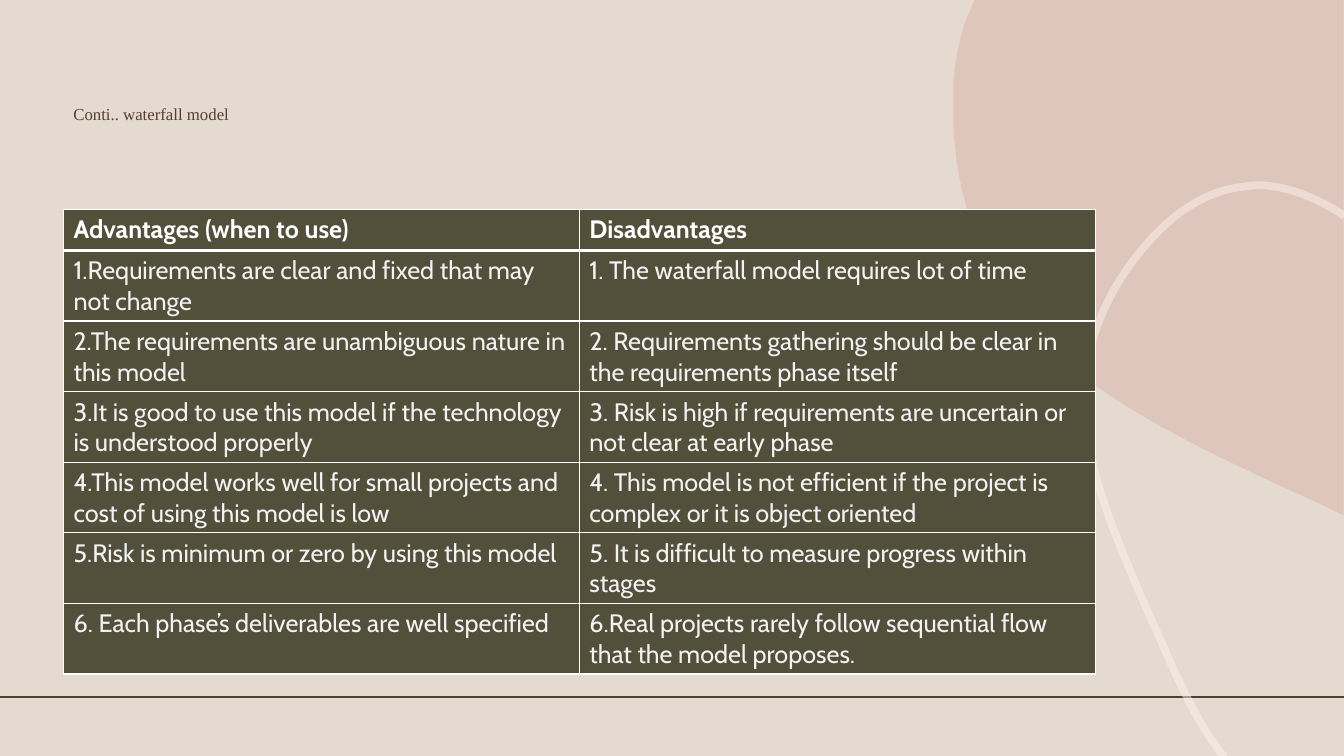
from lxml import etree
from pptx import Presentation
from pptx import util as u
from pptx.dml.color import RGBColor
from pptx.enum import shapes, text
from pptx.oxml.ns import qn

# Content
HEADING = "Conti.. waterfall model"
ROWS = [
    ("Advantages (when to use)", "Disadvantages"),
    ("1.Requirements are clear and fixed that may not change",
     "1. The waterfall model requires lot of time"),
    ("2.The requirements are unambiguous nature in this model",
     "2. Requirements gathering should be clear in the requirements phase itself"),
    ("3.It is good to use this model if the technology is understood properly",
     "3. Risk is high if requirements are uncertain or not clear at early phase"),
    ("4.This model works well for small projects and cost of using this model is low",
     "4. This model is not efficient if the project is complex or it is object oriented"),
    ("5.Risk is minimum or zero by using this model",
     "5. It is difficult to measure progress within stages"),
    ("6. Each phase’s deliverables are well specified",
     "6.Real projects rarely follow sequential flow that the model proposes."),
]

# Outlines in cm: a single pair is a straight step, three pairs are a Bézier curve
BLOB_BOX = (24.03, 0, 33.86, 12.98)
BLOB = [
    [(24.56, 0)], [(33.86, 0)], [(33.86, 12.98)], [(33.2, 12.67)],
    [(28.85, 10.69), (26.21, 9.37), (24.84, 6.48)],
    [(24.08, 4.9), (24, 3.43), (24.03, 2.57)],
    [(24, 2.01), (24.08, 1.24), (24.36, 0.46)],
]
LOOP_BOX = (27.36, 4.67, 33.9, 19.08)
LOOP = [
    [(30.86, 19.08)],
    [(30.43, 18.57), (29.95, 17.75), (29.36, 16.38)],
    [(27.79, 12.88), (26.87, 10.77), (27.58, 8.43)],
    [(27.97, 7.24), (28.63, 6.43), (29.06, 5.97)],
    [(29.49, 5.51), (30.28, 4.8), (31.39, 4.7)],
    [(31.52, 4.67), (31.67, 4.67), (31.8, 4.67)],
    [(32.49, 4.7), (33.22, 5), (33.88, 5.44)],
]

THEME = {
    "page": "E5DACF", "brown": "543E34", "blob": "CF9B92", "loop": "FEF3ED",
    "cell": "52503A", "white": "FFFFFF", "body": "F2F2F2",
    "heading_font": "Times New Roman", "table_font": "Cabin",
    "heading_size": 12, "table_size": 18,
}
WIDTH, HEIGHT, LEFT = 33.87, 19.05, 1.6
COLUMN, ROW, TABLE_HEIGHT = 13, 1.03, 11.71
UNITS = 100  # outline units per cm


def color(name):
    return RGBColor.from_string(THEME[name])


def add_run(paragraph, words, font, size, tint, bold=False):
    run = paragraph.add_run()
    run.text = words
    run.font.name, run.font.size = THEME[font], u.Pt(THEME[size])
    run.font.color.rgb, run.font.bold = color(tint), bold


def add_outline(outline, box, close):
    left, top, right, bottom = (side * UNITS for side in box)
    builder = slide.shapes.build_freeform(left, top, scale=u.Cm(1) / UNITS)
    builder.add_line_segments([(right, top), (right, bottom), (left, bottom)], close=close)
    shape = builder.convert_to_shape()
    shape.shadow.inherit = False

    # Draw the curves inside the box
    trace = next(shape._element.spPr.iter(qn("a:path")))
    for step in list(trace):
        trace.remove(step)
    for i, points in enumerate(outline):
        kind = "moveTo" if i == 0 else "lnTo" if len(points) == 1 else "cubicBezTo"
        step = etree.SubElement(trace, qn("a:" + kind))
        for x, y in points:
            etree.SubElement(step, qn("a:pt"), x=str(round(x * UNITS - left)),
                             y=str(round(y * UNITS - top)))
    if close:
        etree.SubElement(trace, qn("a:close"))
    return shape


def set_opacity(shape, percent):
    tint = next(shape._element.spPr.iter(qn("a:srgbClr")))
    etree.SubElement(tint, qn("a:alpha"), val=str(percent * 1000))


def add_borders(cell, bottom, top):
    properties = cell._tc.get_or_add_tcPr()
    for side, points in (("L", 1), ("R", 1), ("T", top), ("B", bottom)):
        edge = etree.SubElement(properties, qn("a:ln" + side), w=str(u.Pt(points)))
        fill = etree.SubElement(edge, qn("a:solidFill"))
        etree.SubElement(fill, qn("a:srgbClr"), val=THEME["white"])


# Page
deck = Presentation()
deck.slide_width, deck.slide_height = u.Cm(WIDTH), u.Cm(HEIGHT)
slide = deck.slides.add_slide(deck.slide_layouts[6])
slide.background.fill.solid()
slide.background.fill.fore_color.rgb = color("page")

# Backdrop: rule, blob and loop
rule = slide.shapes.add_connector(shapes.MSO_CONNECTOR.STRAIGHT,
                                  0, u.Cm(17.57), u.Cm(WIDTH), u.Cm(17.57))
rule.line.color.rgb, rule.line.width = color("brown"), u.Pt(1.25)
etree.SubElement(rule._element.spPr, qn("a:effectLst"))

blob = add_outline(BLOB, BLOB_BOX, close=True)
blob.fill.solid()
blob.fill.fore_color.rgb = color("blob")
blob.line.fill.background()
set_opacity(blob, 30)

loop = add_outline(LOOP, LOOP_BOX, close=False)
loop.fill.background()
loop.line.color.rgb, loop.line.width = color("loop"), u.Pt(5.5)
set_opacity(loop, 50)

# Heading
heading = slide.shapes.add_textbox(u.Cm(LEFT), u.Cm(1.96), u.Cm(29.21), u.Cm(1.88)).text_frame
heading.word_wrap = True
heading.vertical_anchor = text.MSO_ANCHOR.MIDDLE
heading.paragraphs[0].line_spacing = 0.9
add_run(heading.paragraphs[0], HEADING, "heading_font", "heading_size", "brown")

# Comparison table: rows grow to fit their text
frame = slide.shapes.add_table(len(ROWS), 2, u.Cm(LEFT), u.Cm(5.28),
                               u.Cm(2 * COLUMN), u.Cm(TABLE_HEIGHT))
comparison = frame.table
comparison.horz_banding = False
for column in comparison.columns:
    column.width = u.Cm(COLUMN)
for r, entries in enumerate(ROWS):
    is_header = r == 0
    comparison.rows[r].height = u.Cm(ROW)
    for c, words in enumerate(entries):
        cell = comparison.cell(r, c)
        add_borders(cell, bottom=3 if is_header else 1, top=3 if r == 1 else 1)
        cell.fill.solid()
        cell.fill.fore_color.rgb = color("cell")
        add_run(cell.text_frame.paragraphs[0], words, "table_font", "table_size",
                "white" if is_header else "body", is_header)
frame.height = u.Cm(TABLE_HEIGHT)

deck.save("out.pptx")
